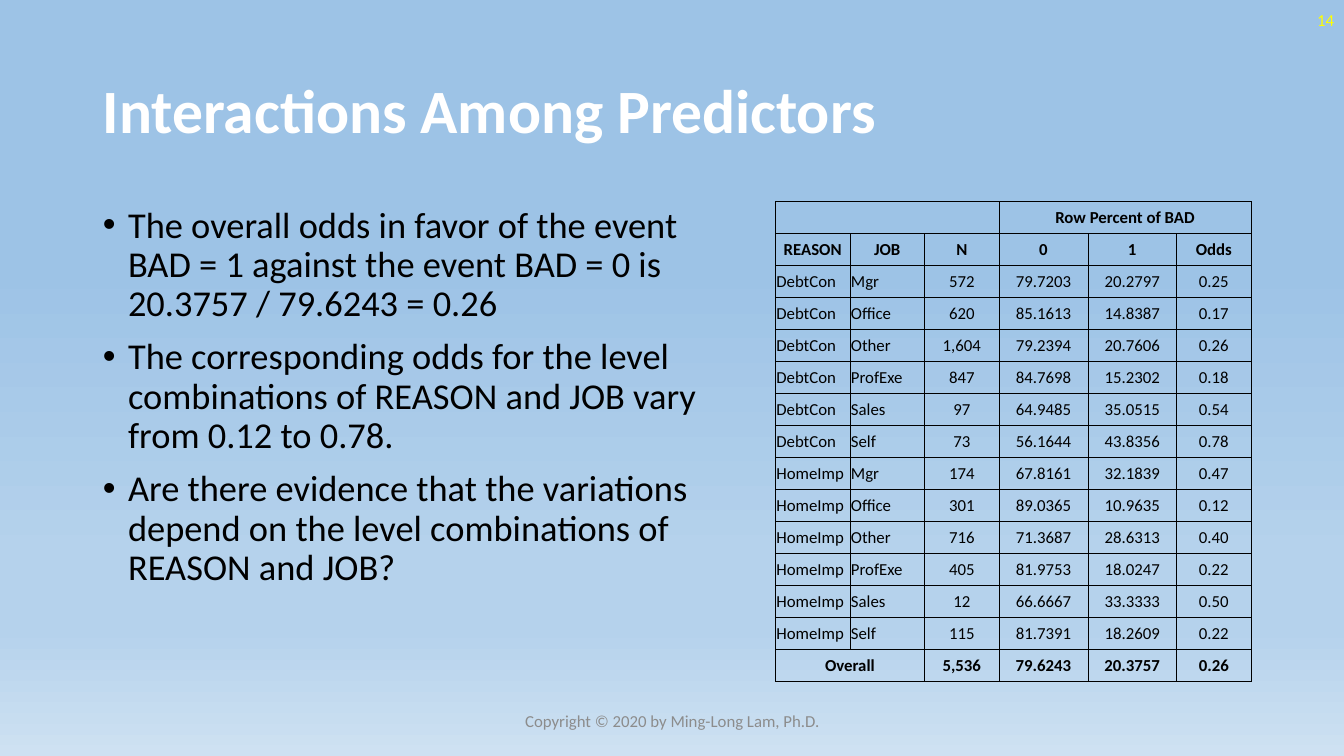
from dataclasses import dataclass

from pptx import Presentation
from pptx.dml.color import RGBColor
from pptx.enum.text import MSO_ANCHOR as Anchor, MSO_AUTO_SIZE as AutoSize, PP_ALIGN as Align
from pptx.oxml import parse_xml
from pptx.oxml.ns import nsdecls
from pptx.util import Inches, Pt


@dataclass(frozen=True)
class Theme:
    font: str = "Calibri"
    title_size: int = 44
    body_size: int = 26
    small_size: int = 12
    white: str = "FFFFFF"
    black: str = "000000"
    yellow: str = "FFFF00"
    gray: str = "8C8C8C"
    background: tuple = ((35, "9DC3E6"), (74, "B5D2EC"), (83, "B5D2EC"), (100, "CEE1F2"))
    border_pt: float = 0.5


BULLETS = [
    "The overall odds in favor of the event BAD = 1 against the event BAD = 0 is "
    "20.3757 / 79.6243 = 0.26",
    "The corresponding odds for the level combinations of REASON and JOB vary from 0.12 to 0.78.",
    "Are there evidence that the variations depend on the level combinations of REASON and JOB?",
]

HEADER = ["REASON", "JOB", "N", "0", "1", "Odds"]
JOBS = ["Mgr", "Office", "Other", "ProfExe", "Sales", "Self"]
ODDS = {
    "DebtCon": [
        ("572", "79.7203", "20.2797", "0.25"),
        ("620", "85.1613", "14.8387", "0.17"),
        ("1,604", "79.2394", "20.7606", "0.26"),
        ("847", "84.7698", "15.2302", "0.18"),
        ("97", "64.9485", "35.0515", "0.54"),
        ("73", "56.1644", "43.8356", "0.78"),
    ],
    "HomeImp": [
        ("174", "67.8161", "32.1839", "0.47"),
        ("301", "89.0365", "10.9635", "0.12"),
        ("716", "71.3687", "28.6313", "0.40"),
        ("405", "81.9753", "18.0247", "0.22"),
        ("12", "66.6667", "33.3333", "0.50"),
        ("115", "81.7391", "18.2609", "0.22"),
    ],
}
OVERALL = ["Overall", "", "5,536", "79.6243", "20.3757", "0.26"]


class SlideBuilder:
    def __init__(self, prs, theme):
        self.theme = theme
        self.slide = prs.slides.add_slide(prs.slide_layouts[1])

    def background(self):
        fill = self.slide.background.fill
        fill.gradient()
        fill.gradient_angle = 270
        stops = "".join(
            f'<a:gs pos="{pos * 1000}"><a:srgbClr val="{color}"/></a:gs>'
            for pos, color in self.theme.background
        )
        bg_pr = self.slide.background._cSld.bg.bgPr
        gs_lst = bg_pr.find(".//{*}gsLst")
        gs_lst.getparent().replace(
            gs_lst, parse_xml(f'<a:gsLst {nsdecls("a")}>{stops}</a:gsLst>'))

    def place(self, sp, left, top, width, height):
        sp.left, sp.top = Inches(left), Inches(top)
        sp.width, sp.height = Inches(width), Inches(height)

    def run(self, p, text, size, color, bold=False):
        r = p.add_run()
        r.text = text
        r.font.name = self.theme.font
        r.font.size = Pt(size)
        r.font.bold = bold
        r.font.color.rgb = RGBColor.from_string(color)

    def title(self, text, box):
        sp = self.slide.shapes.title
        self.place(sp, *box)
        tf = sp.text_frame
        tf.auto_size = AutoSize.NONE
        tf.vertical_anchor = Anchor.MIDDLE
        p = tf.paragraphs[0]
        p.alignment = Align.LEFT
        p.line_spacing = 0.9
        self.run(p, text, self.theme.title_size, self.theme.white, bold=True)

    def bullets(self, items, box):
        sp = self.slide.placeholders[1]
        self.place(sp, *box)
        tf = sp.text_frame
        tf.auto_size = AutoSize.NONE
        for i, item in enumerate(items):
            p = tf.add_paragraph() if i else tf.paragraphs[0]
            p.line_spacing = 0.9
            p.space_before = Pt(10)
            p_pr = p._p.get_or_add_pPr()
            p_pr.set("marL", str(Inches(0.25)))
            p_pr.set("indent", str(-Inches(0.25)))
            p_pr.append(parse_xml(f'<a:buFont {nsdecls("a")} typeface="Arial"/>'))
            p_pr.append(parse_xml(f'<a:buChar {nsdecls("a")} char="•"/>'))
            self.run(p, item, self.theme.body_size, self.theme.black)

    def label(self, text, box, color, align):
        sp = self.slide.shapes.add_textbox(*map(Inches, box))
        tf = sp.text_frame
        tf.word_wrap = True
        tf.vertical_anchor = Anchor.MIDDLE
        p = tf.paragraphs[0]
        p.alignment = align
        self.run(p, text, self.theme.small_size, color)

    def cell(self, cell, text, bold, align):
        cell.margin_left = cell.margin_right = cell.margin_top = Inches(0.01)
        cell.margin_bottom = 0
        cell.vertical_anchor = Anchor.MIDDLE
        cell.fill.background()
        tc_pr = cell._tc.get_or_add_tcPr()
        for i, side in enumerate("LRTB"):
            tc_pr.insert(i, parse_xml(
                f'<a:ln{side} {nsdecls("a")} w="{Pt(self.theme.border_pt)}"><a:solidFill>'
                f'<a:srgbClr val="{self.theme.black}"/></a:solidFill></a:ln{side}>'))
        if text:
            p = cell.text_frame.paragraphs[0]
            p.alignment = align
            self.run(p, text, self.theme.small_size, self.theme.black, bold)

    def table(self, rows, widths, merges, bold_rows, box):
        frame = self.slide.shapes.add_table(len(rows), len(widths), *map(Inches, box))
        table = frame.table
        table.first_row = table.horz_banding = False
        for column, width in zip(table.columns, widths):
            column.width = Inches(width)
        for i, values in enumerate(rows):
            table.rows[i].height = Inches(box[3] / len(rows))
            bold = i in bold_rows
            for j, text in enumerate(values):
                # Level names sit left, headings and numbers are centred
                align = Align.LEFT if j < 2 and not bold else Align.CENTER
                self.cell(table.cell(i, j), text, bold, align)
        for row, first, last in merges:
            table.cell(row, first).merge(table.cell(row, last))


def main():
    theme = Theme()
    prs = Presentation()
    prs.slide_width, prs.slide_height = Inches(13.33), Inches(7.5)
    s = SlideBuilder(prs, theme)
    s.background()

    # Title and bullet list
    s.title("Interactions Among Predictors", (0.92, 0.4, 11.5, 1.45))
    s.bullets(BULLETS, (0.92, 2, 6.49, 4.76))

    # Odds table
    rows = [["", "", "", "Row Percent of BAD", "", ""], HEADER]
    rows += [[reason, job, *values]
             for reason, group in ODDS.items() for job, values in zip(JOBS, group)]
    rows.append(OVERALL)
    last = len(rows) - 1
    s.table(rows, [0.74, 0.74, 0.74, 0.88, 0.88, 0.74],
            merges=[(0, 0, 2), (0, 3, 5), (last, 0, 1)],
            bold_rows={0, 1, last}, box=(7.69, 2, 4.72, 4.76))

    # Slide number and footer
    s.label("14", (10.33, 0, 3, 0.4), theme.yellow, Align.RIGHT)
    s.label("Copyright © 2020 by Ming-Long Lam, Ph.D.", (4.42, 6.95, 4.5, 0.4),
            theme.gray, Align.CENTER)
    prs.save("out.pptx")


if __name__ == "__main__":
    main()
